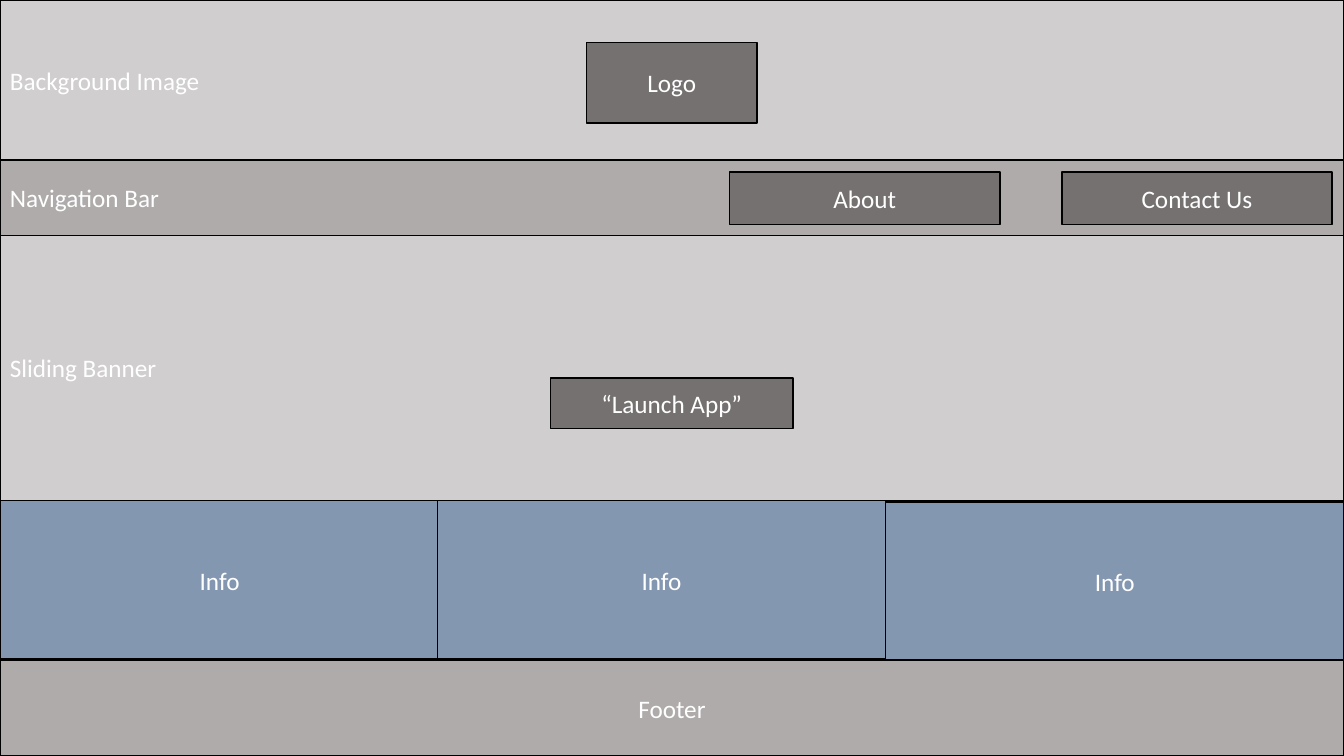
from pptx import Presentation
from pptx.dml.color import RGBColor
from pptx.enum.shapes import MSO_SHAPE
from pptx.enum.text import MSO_ANCHOR, PP_ALIGN
from pptx.util import Cm, Pt

RECT = MSO_SHAPE.RECTANGLE
MIDDLE = MSO_ANCHOR.MIDDLE
LEFT, CENTER = PP_ALIGN.LEFT, PP_ALIGN.CENTER

COLORS = {
    "section": "D0CECE",
    "bar": "AFABAB",
    "button": "767171",
    "info": "8497B0",
    "line": "000000",
    "text": "FFFFFF",
}
PAGE_W, PAGE_H = 33.87, 19.05

prs = Presentation()
prs.slide_width, prs.slide_height = Cm(PAGE_W), Cm(PAGE_H)
s = prs.slides.add_slide(prs.slide_layouts[6])


def rgb(name):
    return RGBColor.from_string(COLORS[name])


def add_block(text, color, x, y, w, h, align=CENTER):
    sp = s.shapes.add_shape(RECT, Cm(x), Cm(y), Cm(w), Cm(h))
    sp.shadow.inherit = False
    sp.fill.solid()
    sp.fill.fore_color.rgb = rgb(color)
    sp.line.color.rgb = rgb("line")
    sp.line.width = Pt(1)
    tf = sp.text_frame
    tf.word_wrap = True
    tf.vertical_anchor = MIDDLE
    p = tf.paragraphs[0]
    p.alignment = align
    r = p.add_run()
    r.text = text
    r.font.name = "Calibri"
    r.font.size = Pt(18)
    r.font.color.rgb = rgb("text")


add_block("Info", "info", 0, 12.62, 11.07, 3.99)

add_block("Sliding Banner", "section", 0, 5.89, PAGE_W, 6.73, LEFT)
add_block("“Launch App”", "button", 13.87, 9.53, 6.12, 1.27)

add_block("Navigation Bar", "bar", 0, 4.02, PAGE_W, 1.92, LEFT)
for text, x in [("Contact Us", 26.76), ("About", 18.39)]:
    add_block(text, "button", x, 4.34, 6.81, 1.32)

add_block("Background Image", "section", 0, 0, PAGE_W, 4.03, LEFT)
add_block("Logo", "button", 14.78, 1.07, 4.3, 2.03)

for x, y, w in [(11.02, 12.62, 11.3), (22.32, 12.65, 11.55)]:
    add_block("Info", "info", x, y, w, 3.99)

add_block("Footer", "bar", 0, 16.63, PAGE_W, 2.42)

prs.save("out.pptx")
